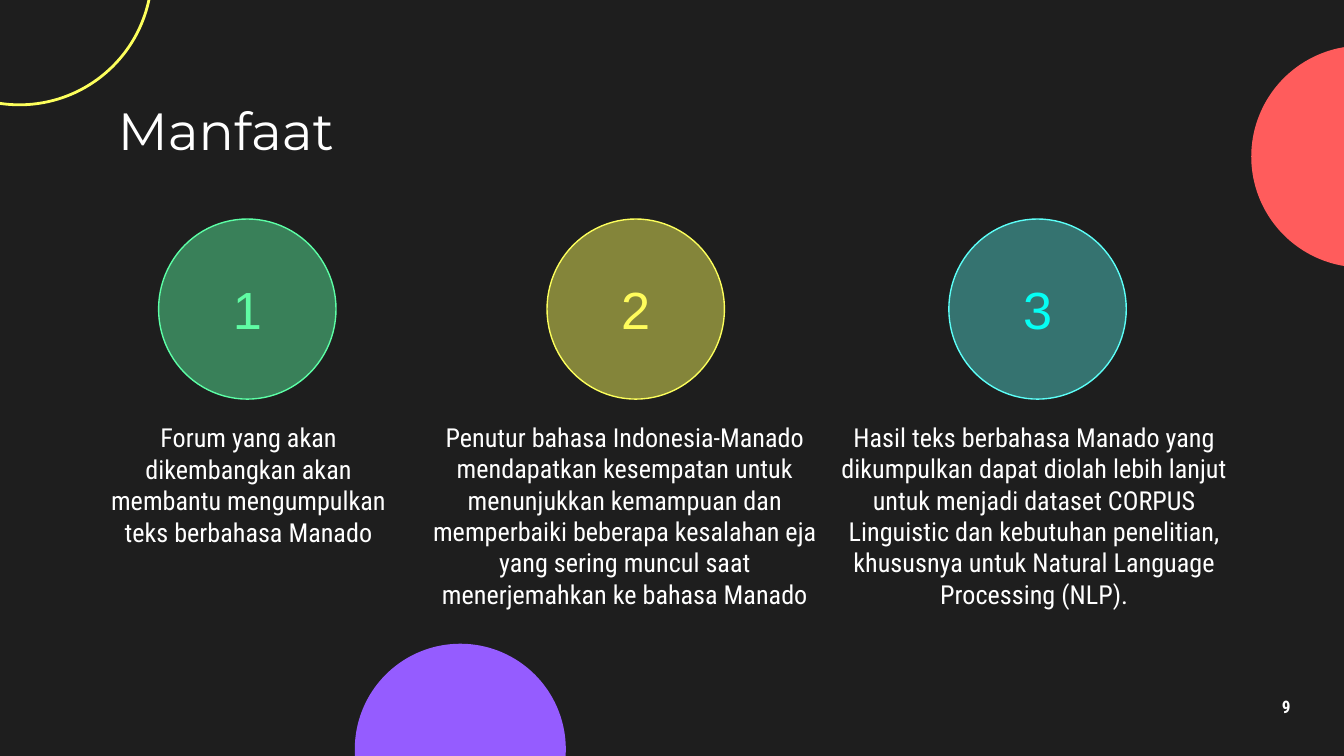
"""Build the "Manfaat" slide: three numbered benefits on a dark background."""
from dataclasses import dataclass

from lxml.etree import SubElement
from pptx import Presentation
from pptx.dml.color import RGBColor
from pptx.enum.shapes import MSO_SHAPE as Shape
from pptx.enum.text import MSO_ANCHOR as Anchor, PP_ALIGN as Align
from pptx.oxml.ns import qn
from pptx.util import Inches, Pt


@dataclass(frozen=True)
class Theme:
    background: str = "1E1E1E"
    text: str = "FFFFFF"
    red: str = "FF5C5C"
    purple: str = "955CFF"
    green: str = "5CFFA6"
    yellow: str = "FDFF5C"
    cyan: str = "5CFFF8"
    green_digit: str = "60FCA4"
    yellow_digit: str = "FFFC5C"
    cyan_digit: str = "05FFF4"
    title_font: str = "Montserrat"
    body_font: str = "Roboto Condensed"
    digit_font: str = "Arial"
    large_size: float = 28
    body_size: float = 14
    page_size: float = 9.2


THEME = Theme()

BENEFITS = [
    (1.18, THEME.green, 44, THEME.green_digit, (0.65, 3.21, 2.4, 0.79),
     "Forum yang akan dikembangkan akan membantu mengumpulkan teks berbahasa Manado"),
    (4.07, THEME.yellow, 46, THEME.yellow_digit, (3.12, 2.97, 3.06, 1.73),
     "Penutur bahasa Indonesia-Manado mendapatkan kesempatan untuk menunjukkan kemampuan "
     "dan memperbaiki beberapa kesalahan eja yang sering muncul saat menerjemahkan ke "
     "bahasa Manado"),
    (7.06, THEME.cyan, 38, THEME.cyan_digit, (6.1, 3.05, 3.19, 1.57),
     "Hasil teks berbahasa Manado yang dikumpulkan dapat diolah lebih lanjut untuk menjadi "
     "dataset CORPUS Linguistic dan kebutuhan penelitian, khususnya untuk Natural Language "
     "Processing (NLP)."),
]


def write_text(shape, text, font, size, color, align=Align.CENTER, bold=False):
    frame = shape.text_frame
    frame.text = text
    frame.word_wrap = True
    frame.vertical_anchor = Anchor.MIDDLE
    frame.margin_left = frame.margin_right = Inches(0.1)
    frame.margin_top = frame.margin_bottom = Inches(0.1)
    paragraph = frame.paragraphs[0]
    paragraph.alignment = align
    run_font = paragraph.runs[0].font
    run_font.name = font
    run_font.size = Pt(size)
    run_font.bold = bold
    run_font.color.rgb = RGBColor.from_string(color)
    return paragraph


def add_text(slide, box, *args, **options):
    shape = slide.shapes.add_textbox(*map(Inches, box))
    return write_text(shape, *args, **options)


def add_circle(slide, box, fill=None, line=None, line_width=0.75, opacity=100):
    shape = slide.shapes.add_shape(Shape.OVAL, *map(Inches, box))
    shape.shadow.inherit = False
    if fill:
        shape.fill.solid()
        shape.fill.fore_color.rgb = RGBColor.from_string(fill)
    else:
        shape.fill.background()
    if opacity < 100:
        color = shape.element.spPr.find(qn("a:solidFill")).find(qn("a:srgbClr"))
        SubElement(color, qn("a:alpha"), val=str(opacity * 1000))
    if line:
        shape.line.color.rgb = RGBColor.from_string(line)
        shape.line.width = Pt(line_width)
    else:
        shape.line.fill.background()
    return shape


def add_benefit(slide, number, left, color, opacity, digit_color, text_box, text):
    circle = add_circle(slide, (left, 1.63, 1.32, 1.34), color, color, opacity=opacity)
    write_text(circle, str(number), THEME.digit_font, THEME.large_size, digit_color)
    add_text(slide, text_box, text, THEME.body_font, THEME.body_size, THEME.text)


def main():
    presentation = Presentation()
    presentation.slide_width = Inches(10)
    presentation.slide_height = Inches(10 * 9 / 16)
    slide = presentation.slides.add_slide(presentation.slide_layouts[6])
    slide.background.fill.solid()
    slide.background.fill.fore_color.rgb = RGBColor.from_string(THEME.background)

    add_circle(slide, (9.31, 0.34, 1.65, 1.65), THEME.red)
    add_circle(slide, (2.64, 4.79, 1.57, 1.57), THEME.purple)
    add_circle(slide, (-0.84, -1.19, 1.97, 1.97), line=THEME.yellow, line_width=1.5)

    add_text(slide, (0.78, 0.71, 8.44, 0.51), "Manfaat", THEME.title_font,
             THEME.large_size, THEME.text, align=Align.LEFT)
    for number, benefit in enumerate(BENEFITS, start=1):
        add_benefit(slide, number, *benefit)
    page_number = add_text(slide, (9.27, 5.1, 0.6, 0.34), "9", THEME.body_font,
                           THEME.page_size, THEME.text, bold=True)
    page_number.line_spacing = 0.9

    presentation.save("out.pptx")


if __name__ == "__main__":
    main()
